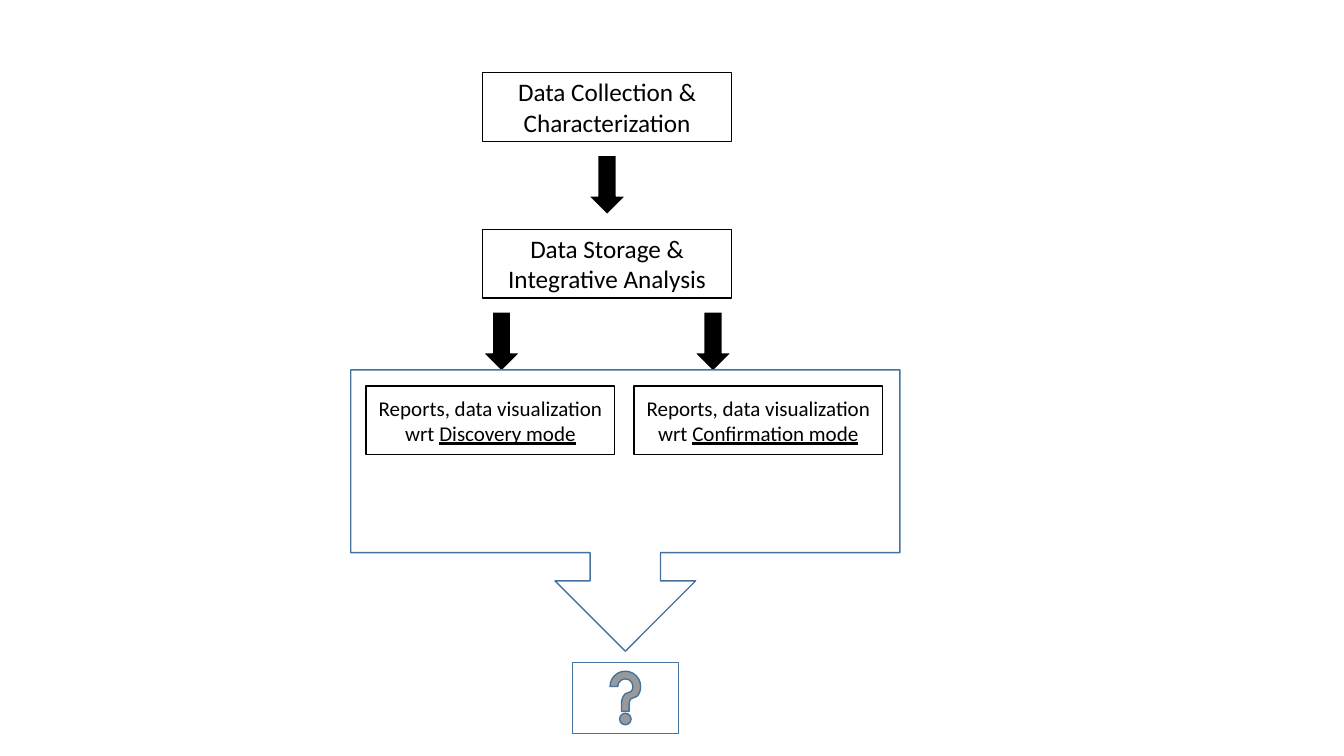
"""Build a flow slide from data collection to an open question."""
import pptx
import pptx.util
import pptx.dml.color
import pptx.enum.shapes
import pptx.enum.text

Cm = pptx.util.Cm
Pt = pptx.util.Pt
KIND = pptx.enum.shapes.MSO_SHAPE

BLACK, WHITE, BLUE = "000000", "FFFFFF", "43739E"
MID = 15.3
TOP, STEP = 1.83, 3.95
BOX_W, BOX_H = 6.27, 1.73
TIP_W, TIP_H, GAP = 0.94, 1.5, 0.35

BOXES = [
    (0, MID, 18, "Data Collection & Characterization", ""),
    (1, MID, 18, "Data Storage & Integrative Analysis", ""),
    (2, 12.36, 15, "Reports, data visualization wrt ", "Discovery mode"),
    (2, 19.11, 15, "Reports, data visualization wrt ", "Confirmation mode"),
]
TIPS = [(0, MID), (1, 12.64), (1, 17.97)]
FRAME = (15.76, 9.32, 13.84, 7.09)
HELP = (15.76, 16.69, 2.67, 1.8)


def color(code):
    return pptx.dml.color.RGBColor.from_string(code)


def draw(kind, mid, top, wide, high, fill, line):
    shape = slide.shapes.add_shape(
        kind, Cm(mid - wide / 2), Cm(top), Cm(wide), Cm(high))
    shape.shadow.inherit = False
    if fill:
        shape.fill.solid()
        shape.fill.fore_color.rgb = color(fill)
    else:
        shape.fill.background()
    shape.line.color.rgb = color(line)
    shape.line.width = Pt(1)
    return shape


def write(shape, size, text, mode):
    frame = shape.text_frame
    frame.word_wrap = True
    frame.vertical_anchor = pptx.enum.text.MSO_ANCHOR.MIDDLE
    para = frame.paragraphs[0]
    para.alignment = pptx.enum.text.PP_ALIGN.CENTER
    para.font.name = "Calibri"
    para.font.size = Pt(size)
    para.font.color.rgb = color(BLACK)
    para.add_run().text = text
    if mode:
        run = para.add_run()
        run.text = mode
        run.font.underline = True


deck = pptx.Presentation()
deck.slide_width, deck.slide_height = Cm(33.87), Cm(19.05)
slide = deck.slides.add_slide(deck.slide_layouts[6])

for row, mid, size, text, mode in BOXES:
    box = draw(KIND.RECTANGLE, mid, TOP + row * STEP, BOX_W, BOX_H, WHITE, BLACK)
    write(box, size, text, mode)
for row, mid in TIPS:
    top = TOP + row * STEP + BOX_H + GAP
    draw(KIND.DOWN_ARROW, mid, top, TIP_W, TIP_H, BLACK, WHITE)
draw(KIND.DOWN_ARROW_CALLOUT, *FRAME, None, BLUE)
draw(KIND.ACTION_BUTTON_HELP, *HELP, WHITE, BLUE)

deck.save("out.pptx")
